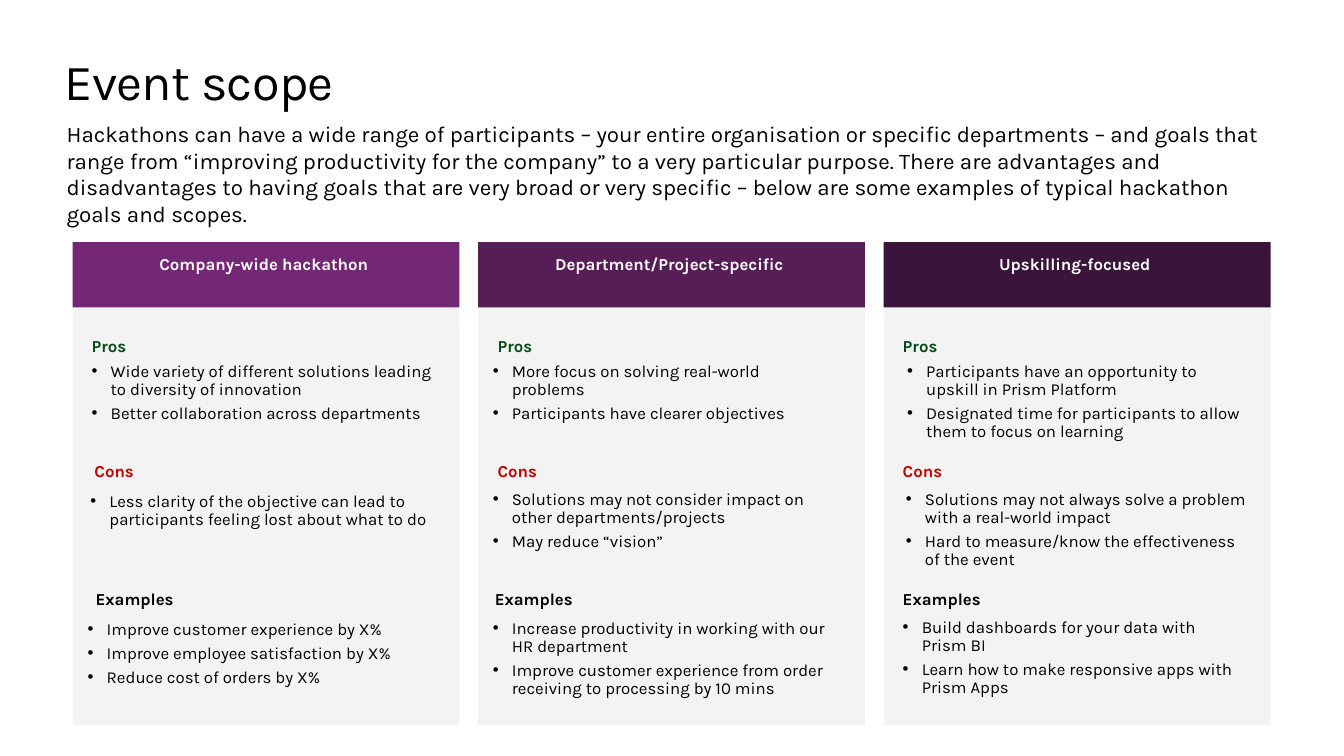
from lxml.etree import SubElement
from pptx import Presentation
from pptx.dml.color import RGBColor
from pptx.enum.shapes import MSO_SHAPE
from pptx.enum.text import MSO_AUTO_SIZE, PP_ALIGN
from pptx.oxml.ns import qn
from pptx.util import Cm, Pt

LEFT, TOP, WIDTH, PITCH = 1.83, 6.1, 9.75, 10.22
HEAD, FULL = 1.65, 12.17
TEXT = 9.12  # width of every text box in a column

# Section heading: name, colour, top
PARTS = [("Pros", "054B16", 8.38), ("Cons", "C00000", 11.53), ("Examples", "000000", 14.78)]

# Column: title, colour, then per section: heading left, list left, top, height, points
SCOPES = [
    ("Company-wide hackathon", "742774", [
        (2.06, 2.06, 9.02, 2.74, ["Wide variety of different solutions leading to diversity of innovation",
                                  "Better collaboration across departments"]),
        (2.13, 2.03, 12.29, 1.17, ["Less clarity of the objective can lead to participants feeling lost "
                                   "about what to do"]),
        (2.16, 1.96, 15.52, 2.01, ["Improve customer experience by X%",
                                   "Improve employee satisfaction by X%",
                                   "Reduce cost of orders by X%"]),
    ]),
    ("Department/Project-specific", "571D57", [
        (12.29, 12.17, 9.02, 1.83, ["More focus on solving real-world problems",
                                    "Participants have clearer objectives"]),
        (12.29, 12.17, 12.24, 1.83, ["Solutions may not consider impact on other departments/projects",
                                     "May reduce “vision”"]),
        (12.22, 12.17, 15.49, 2.29, ["Increase productivity in working with our HR department",
                                     "Improve customer experience from order receiving to processing "
                                     "by 10 mins"]),
    ]),
    ("Upskilling-focused", "3A143A", [
        (22.5, 22.61, 9.02, 2.29, ["Participants have an opportunity to upskill in Prism Platform",
                                   "Designated time for participants to allow them to focus on learning"]),
        (22.5, 22.58, 12.24, 2.29, ["Solutions may not always solve a problem with a real-world impact",
                                    "Hard to measure/know the effectiveness of the event"]),
        (22.5, 22.5, 15.47, 2.29, ["Build dashboards for your data with Prism BI",
                                   "Learn how to make responsive apps with Prism Apps"]),
    ]),
]

INTRO = ("Hackathons can have a wide range of participants – your entire organisation or specific "
         "departments – and goals that range from “improving productivity for the company” to a very "
         "particular purpose. There are advantages and disadvantages to having goals that are very "
         "broad or very specific – below are some examples of typical hackathon goals and scopes.")


def color(code):
    return RGBColor.from_string(code)


class Deck:
    """Holds the text style and the current slide."""

    font = "Karla"
    size = 12
    ink = "000000"

    def __init__(self):
        self.prs = Presentation()
        self.prs.slide_width, self.prs.slide_height = Cm(33.87), Cm(19.05)
        self.slide = self.prs.slides.add_slide(self.prs.slide_layouts[6])

    def rect(self, x, y, w, h, fill, alpha=None):
        box = self.slide.shapes.add_shape(MSO_SHAPE.RECTANGLE, Cm(x), Cm(y), Cm(w), Cm(h))
        box.shadow.inherit = False
        box.fill.solid()
        box.fill.fore_color.rgb = color(fill)
        box.line.fill.background()
        if alpha:
            tone = box.fill._xPr.find(".//" + qn("a:srgbClr"))
            SubElement(tone, qn("a:alpha"), val=str(alpha * 1000))

    def frame(self, x, y, w, h, text):
        frame = self.slide.shapes.add_textbox(Cm(x), Cm(y), Cm(w), Cm(h)).text_frame
        frame.word_wrap = True
        frame.auto_size = MSO_AUTO_SIZE.SHAPE_TO_FIT_TEXT
        frame.text = text
        return frame

    def style(self, frame, size=None, ink=None, bold=False):
        for para in frame.paragraphs:
            for run in para.runs:
                run.font.name = self.font
                run.font.size = Pt(size or self.size)
                run.font.bold = bold
                run.font.color.rgb = color(ink or self.ink)

    def space(self, frame):
        for para in frame.paragraphs:
            para.line_spacing = 0.9
            para.space_after = Pt(4.2)

    def lead(self, x, y, w, h, text, size, track=0):
        """Add large text without margins; track is letter spacing in points."""
        frame = self.frame(x, y, w, h, text)
        frame.margin_left = frame.margin_right = frame.margin_top = frame.margin_bottom = 0
        self.style(frame, size)
        if track:
            frame.paragraphs[0].runs[0]._r.get_or_add_rPr().set("spc", str(int(track * 100)))

    def label(self, x, y, text, ink, align=PP_ALIGN.LEFT, w=TEXT):
        frame = self.frame(x, y, w, 0.71, text)
        frame.paragraphs[0].alignment = align
        self.space(frame)
        self.style(frame, ink=ink, bold=True)

    def points(self, x, y, h, items):
        frame = self.frame(x, y, TEXT, h, "\n".join(items))
        for para in frame.paragraphs:
            props = para._p.get_or_add_pPr()
            props.set("marL", str(Cm(0.48)))
            props.set("indent", str(-Cm(0.48)))
            SubElement(props, qn("a:buFont"), typeface="Arial")
            SubElement(props, qn("a:buChar"), char="•")
        self.space(frame)
        self.style(frame)


def main():
    deck = Deck()
    deck.lead(1.63, 1.27, 12.27, 1.55, "Event scope", 36, -0.5)
    deck.lead(1.68, 3.02, 30.23, 2.74, INTRO, 16)
    for col, (title, fill, parts) in enumerate(SCOPES):
        x = LEFT + col * PITCH
        deck.rect(x, TOP, WIDTH, FULL, "F2F2F2", 90)
        deck.rect(x, TOP, WIDTH, HEAD, fill)
        deck.label(x + 0.3, TOP + 0.22, title, "FFFFFF", PP_ALIGN.CENTER, 9.04)
        for (name, ink, top), (left, inner, y, h, items) in zip(PARTS, parts):
            deck.label(left, top, name, ink)
            deck.points(inner, y, h, items)
    deck.prs.save("out.pptx")


if __name__ == "__main__":
    main()
